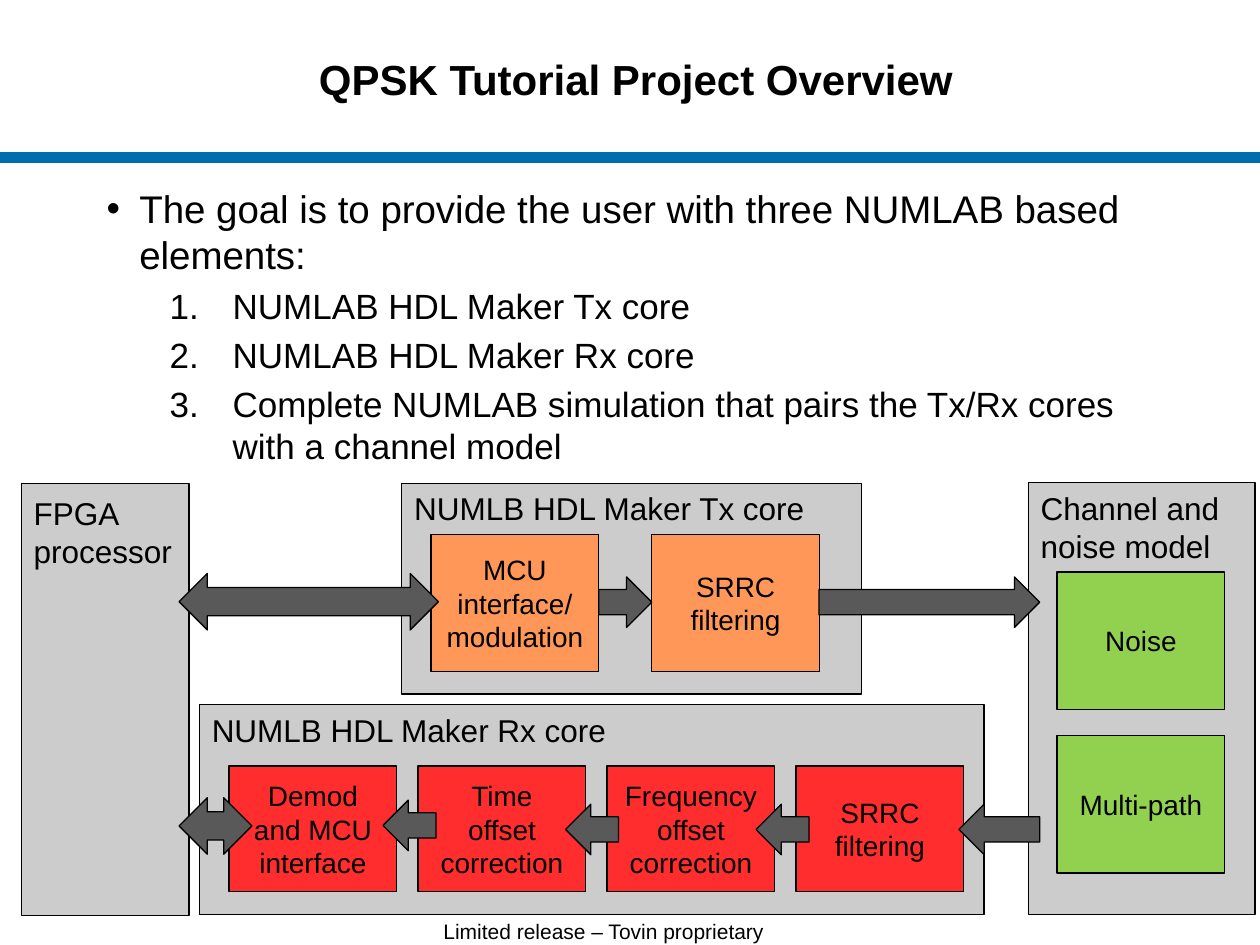
from dataclasses import dataclass

from lxml.etree import SubElement
from pptx import Presentation
from pptx.dml.color import RGBColor
from pptx.enum.shapes import MSO_CONNECTOR as Line, MSO_SHAPE as Shape
from pptx.enum.text import MSO_ANCHOR as Anchor, PP_ALIGN as Align
from pptx.oxml.ns import qn
from pptx.util import Cm, Pt


@dataclass(frozen=True)
class Theme:
    font: str = "Arial"
    ink: str = "000000"
    rule: str = "006DAC"
    panel: str = "CCCCCC"
    tx: str = "FE9758"
    rx: str = "FF2D2D"
    channel: str = "92D050"
    arrow: str = "595959"
    title_size: int = 24
    body_size: int = 22
    item_size: int = 20
    label_size: int = 18
    block_size: int = 16
    footer_size: int = 12
    outline: float = 0.75
    rule_width: float = 6


class Deck:
    """Holds the theme and the current slide."""

    def __init__(self, prs, theme):
        self.theme = theme
        self.slide = prs.slides.add_slide(prs.slide_layouts[5])
        self.shapes = self.slide.shapes

    def format(self, p, size, align=Align.LEFT, bold=False):
        p.alignment = align
        for r in p.runs:
            r.font.name = self.theme.font
            r.font.size = Pt(size)
            r.font.bold = bold
            r.font.color.rgb = RGBColor.from_string(self.theme.ink)

    def title(self, text, x, y, w, h):
        sp = self.shapes.title
        sp.left, sp.top, sp.width, sp.height = Cm(x), Cm(y), Cm(w), Cm(h)
        tf = sp.text_frame
        tf.text = text
        tf.vertical_anchor = Anchor.MIDDLE
        self.format(tf.paragraphs[0], self.theme.title_size, Align.CENTER, True)

    def rule(self, y, width):
        ln = self.shapes.add_connector(Line.STRAIGHT, Cm(0), Cm(y), Cm(width), Cm(y))
        ln.line.color.rgb = RGBColor.from_string(self.theme.rule)
        ln.line.width = Pt(self.theme.rule_width)
        SubElement(ln._element.spPr, qn("a:effectLst"))

    def text(self, text, x, y, w, h, size):
        tf = self.shapes.add_textbox(Cm(x), Cm(y), Cm(w), Cm(h)).text_frame
        tf.word_wrap = True
        tf.text = text
        self.format(tf.paragraphs[0], size)
        return tf

    def bullet(self, p, margin, hang, tag, **attrs):
        pPr = p._p.get_or_add_pPr()
        pPr.set("marL", str(Cm(margin)))
        pPr.set("indent", str(-Cm(hang)))
        SubElement(pPr, qn("a:buFont"), typeface=self.theme.font)
        SubElement(pPr, qn(tag), **attrs)

    def goals(self, lead, items, x, y, w, h):
        tf = self.text(lead, x, y, w, h, self.theme.body_size)
        self.bullet(tf.paragraphs[0], 0.66, 0.66, "a:buChar", char="•")
        for item in items:
            p = tf.add_paragraph()
            p.text = item
            p.level = 1
            p.space_before = Pt(4)
            self.format(p, self.theme.item_size)
            self.bullet(p, 2.54, 1.27, "a:buAutoNum", type="arabicPeriod")

    def shape(self, kind, x, y, w, h, fill):
        sp = self.shapes.add_shape(kind, Cm(x), Cm(y), Cm(w), Cm(h))
        sp.shadow.inherit = False
        sp.fill.solid()
        sp.fill.fore_color.rgb = RGBColor.from_string(fill)
        sp.line.color.rgb = RGBColor.from_string(self.theme.ink)
        sp.line.width = Pt(self.theme.outline)
        return sp

    def panel(self, label, x, y, w, h, label_y, label_w, label_h):
        self.shape(Shape.RECTANGLE, x, y, w, h, self.theme.panel)
        self.text(label, x, label_y, label_w, label_h, self.theme.label_size)

    def block(self, text, x, y, h, fill):
        tf = self.shape(Shape.RECTANGLE, x, y, BLOCK_W, h, fill).text_frame
        tf.word_wrap = True
        tf.vertical_anchor = Anchor.MIDDLE
        tf.text = text
        self.format(tf.paragraphs[0], self.theme.block_size, Align.CENTER)

    def arrow(self, x, y, w, h=1.02, kind=Shape.RIGHT_ARROW, rotation=0):
        self.shape(kind, x, y, w, h, self.theme.arrow).rotation = rotation


SLIDE_W, SLIDE_H = 25.4, 19.05
BLOCK_W, TALL, SHORT = 3.38, 2.77, 2.54


def main():
    prs = Presentation()
    prs.slide_width, prs.slide_height = Cm(SLIDE_W), Cm(SLIDE_H)
    theme = Theme()
    deck = Deck(prs, theme)

    # Heading, rule and footer
    deck.rule(3.18, SLIDE_W)
    deck.text("Limited release – Tovin proprietary", 8.69, 18.39, 8.05, 0.76,
              theme.footer_size)
    deck.title("QPSK Tutorial Project Overview", 4.88, 0, 15.88, 3.18)

    # Goals
    deck.goals(
        "The goal is to provide the user with three NUMLAB based elements:",
        ["NUMLAB HDL Maker Tx core",
         "NUMLAB HDL Maker Rx core",
         "Complete NUMLAB simulation that pairs the Tx/Rx cores with a channel model"],
        1.9, 3.61, 21.6, 6.35)

    # Grey panels with their labels
    deck.panel("NUMLB HDL Maker Tx core", 8.1, 9.75, 9.27, 4.24, 9.73, 9.53, 1.02)
    deck.panel("NUMLB HDL Maker Rx core", 4.02, 14.2, 15.82, 4.24, 14.2, 9.53, 1.02)
    deck.panel("Channel and noise model", 20.73, 9.73, 4.57, 8.71, 9.73, 4.57, 1.8)
    deck.panel("FPGA processor", 0.43, 9.75, 3.38, 8.71, 9.83, 3.38, 1.8)

    # Processing blocks
    for i, text in enumerate(["MCU interface/ modulation", "SRRC filtering"]):
        deck.block(text, 8.69 + 4.45 * i, 10.77, TALL, theme.tx)
    for i, text in enumerate(["Demod and MCU interface", "Time\voffset\vcorrection",
                              "Frequency offset correction", "SRRC filtering"]):
        deck.block(text, 4.62 + 3.81 * i, 15.44, SHORT, theme.rx)
    for i, text in enumerate(["Noise", "Multi-path"]):
        deck.block(text, 21.31, 11.53 + 3.3 * i, TALL, theme.channel)

    # Transmit path, left to right
    for x, w in [(12.07, 1.07), (16.51, 4.45)]:
        deck.arrow(x, 11.63, w)

    # Receive path, right to left
    for x, y, w in [(19.33, 16.21, 1.63), (15.24, 16.21, 1.07),
                    (11.4, 16.21, 1.07), (7.72, 16.13, 1.07)]:
        deck.arrow(x, y, w, rotation=180)

    # Two-way links to the processor
    for y, w in [(11.56, 5.23), (16.08, 1.47)]:
        deck.arrow(3.61, y, w, 1.14, Shape.LEFT_RIGHT_ARROW)

    prs.save("out.pptx")


if __name__ == "__main__":
    main()
